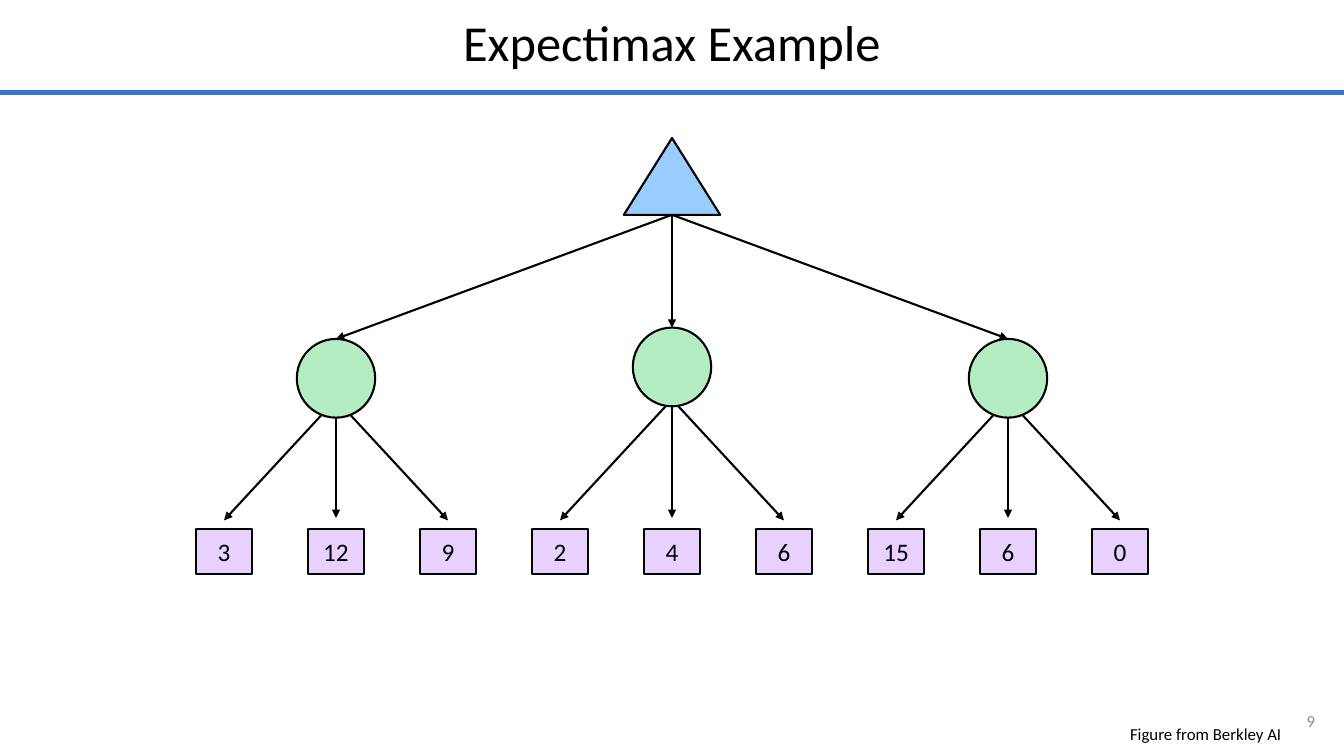
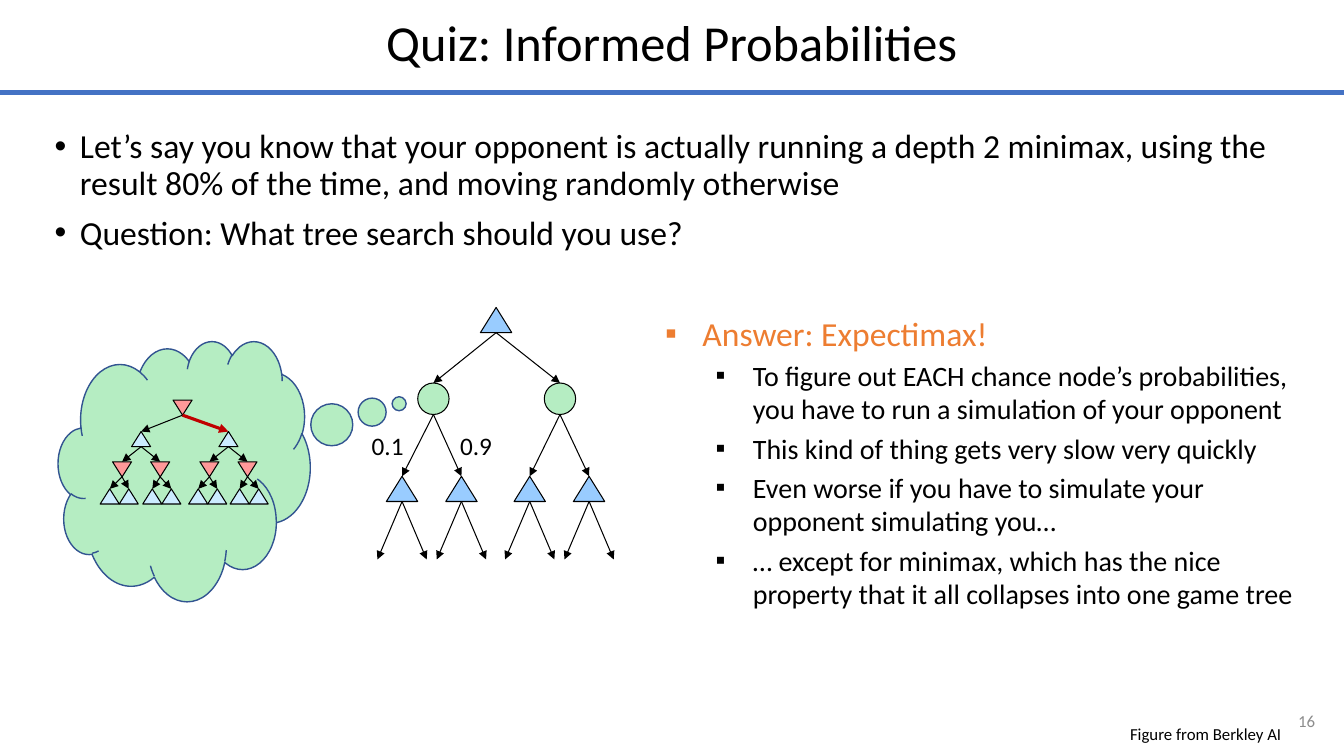
from lxml.etree import SubElement
from pptx import Presentation
from pptx.dml.color import RGBColor
from pptx.enum.shapes import MSO_CONNECTOR, MSO_SHAPE
from pptx.enum.text import MSO_ANCHOR, PP_ALIGN
from pptx.oxml.ns import qn
from pptx.util import Inches, Pt

WIDE, HIGH = 13.33, 7.5
COL, ROW = WIDE / 12, HIGH / 12
FONT = "Calibri"
BLACK, GREY, RULE, ORANGE = "000000", "8C8C8C", "4472C4", "ED7D31"
BLUE, PALE, GREEN, PINK, LILAC = "99CCFF", "CCECFF", "B5EDC2", "FF9999", "E8D1FF"
EDGE, HOT = "325491", "C00000"
TRI, DISC = MSO_SHAPE.ISOSCELES_TRIANGLE, MSO_SHAPE.OVAL


def across(cols):
    return Inches(cols * COL)


def down(rows):
    return Inches(rows * ROW)


def frame(left, top, width, height):
    return across(left), down(top), across(width), down(height)


def paint(target, ink):
    target.rgb = RGBColor.from_string(ink)


def style(para, size, ink=BLACK, align=PP_ALIGN.LEFT):
    para.alignment = align
    para.font.size = Pt(size)
    para.font.name = FONT
    paint(para.font.color, ink)


def text(slide, place, words, size, ink=BLACK, align=PP_ALIGN.LEFT,
         anchor=MSO_ANCHOR.TOP, pitch=1.0):
    body = slide.shapes.add_textbox(*frame(*place)).text_frame
    body.word_wrap = True
    body.vertical_anchor = anchor
    para = body.paragraphs[0]
    para.text = words
    para.line_spacing = pitch
    style(para, size, ink, align)


def bullet(para, mark, ink, indent, hang):
    props = para._p.get_or_add_pPr()
    props.set("marL", str(Inches(indent)))
    props.set("indent", str(-Inches(hang)))
    tint = SubElement(props, qn("a:buClr"))
    SubElement(tint, qn("a:srgbClr")).set("val", ink)
    SubElement(props, qn("a:buFont")).set("typeface", "Arial")
    SubElement(props, qn("a:buChar")).set("char", mark)


def points(slide, place, items, mark, hang, pitch=1.0):
    body = slide.shapes.add_textbox(*frame(*place)).text_frame
    body.word_wrap = True
    for i, (words, level, size, ink, gap) in enumerate(items):
        para = body.add_paragraph() if i else body.paragraphs[0]
        para.text = words
        para.level = level
        para.line_spacing = pitch
        para.space_before = Pt(gap if i else 0)
        bullet(para, mark, ink, hang + level * 0.5, hang)
        style(para, size, ink)


def line(slide, start, end, weight, ink=BLACK, arrow=True):
    link = slide.shapes.add_connector(
        MSO_CONNECTOR.STRAIGHT, across(start[0]), down(start[1]),
        across(end[0]), down(end[1]))
    link.line.width = Pt(weight)
    paint(link.line.color, ink)
    if arrow:
        tail = SubElement(link.line._get_or_add_ln(), qn("a:tailEnd"))
        tail.set("type", "triangle")
    SubElement(link._element.spPr, qn("a:effectLst"))


def shape(slide, kind, place, fill, weight, ink=BLACK):
    item = slide.shapes.add_shape(kind, *frame(*place))
    item.shadow.inherit = False
    item.fill.solid()
    paint(item.fill.fore_color, fill)
    item.line.width = Pt(weight)
    paint(item.line.color, ink)
    return item


def node(slide, kind, mid, top, width, height, fill, weight):
    return shape(slide, kind, (mid - width / 2, top, width, height), fill, weight)


def leaf(slide, mid, value):
    box = node(slide, MSO_SHAPE.RECTANGLE, mid, 8.4, 0.5, 0.71, LILAC, 1.5)
    body = box.text_frame
    body.word_wrap = False
    body.vertical_anchor = MSO_ANCHOR.MIDDLE
    body.paragraphs[0].text = value
    style(body.paragraphs[0], 18, align=PP_ALIGN.CENTER)


def tree(slide, levels, hot=()):
    above, base = [], 0
    for depth, (mids, top, kind, fill, width, height, turn) in enumerate(levels):
        for i, mid in enumerate(mids):
            if above:
                start = above[i * len(above) // len(mids)], base
                bold = (depth, i) in hot
                line(slide, start, (mid, top), 2.25 if bold else 0.75,
                     HOT if bold else BLACK)
        if kind:
            for mid in mids:
                node(slide, kind, mid, top, width, height, fill, 0.75).rotation = turn
        above, base = mids, top + height


def spread(mids, gap):
    return [mid + side * gap for mid in mids for side in (-1, 1)]


def page(deck, title, number):
    slide = deck.slides.add_slide(deck.slide_layouts[6])
    text(slide, (0, -0.03, 12, 1.5), title, 36, BLACK, PP_ALIGN.CENTER,
         MSO_ANCHOR.MIDDLE, 0.9)
    line(slide, (0, 1.47), (12, 1.47), 3.75, RULE, False)
    text(slide, (11.22, 11.12, 0.61, 0.64), number, 12, GREY, PP_ALIGN.RIGHT,
         MSO_ANCHOR.MIDDLE)
    text(slide, (9.75, 11.44, 1.78, 0.43), "Figure from Berkley AI", 12,
         align=PP_ALIGN.RIGHT, pitch=0.9)
    return slide


def sample(deck):
    slide = page(deck, "Expectimax Example", "9")
    node(slide, TRI, 6, 2.19, 0.86, 1.22, BLUE, 1.5)
    groups = [(3, 5.38, ("3", "12", "9")),
              (6, 5.2, ("2", "4", "6")),
              (9, 5.38, ("15", "6", "0"))]
    for mid, top, values in groups:
        line(slide, (6, 3.41), (mid, top), 1.5)
        for step, value in enumerate(values, -1):
            line(slide, (mid, 6.34), (mid + step, 8.26 if step else 8.22), 1.5)
            leaf(slide, mid + step, value)
        node(slide, DISC, mid, top, 0.7, 1.25, GREEN, 1.5)


def quiz(deck):
    slide = page(deck, "Quiz: Informed Probabilities", "16")
    points(slide, (0.4, 1.98, 11.2, 2.5), [
        ("Let’s say you know that your opponent is actually running a depth 2 "
         "minimax, using the result 80% of the time, and moving randomly otherwise",
         0, 24, BLACK, 0),
        ("Question: What tree search should you use?", 0, 24, BLACK, 10),
    ], "•", 0.25, 0.9)

    cloud = shape(slide, MSO_SHAPE.CLOUD_CALLOUT, (0.52, 5.41, 2.25, 4.13),
                  GREEN, 1, EDGE)
    cloud.adjustments[0] = 0.853
    cloud.adjustments[1] = -0.258
    small = 0.17, 0.24
    kids = [1.26, 2.04]
    ends = [mid + step for mid in (0.98, 1.36, 1.77, 2.14) for step in (0, 0.17)]
    tree(slide, [
        ([1.63], 6.35, TRI, PINK, *small, 180),
        (kids, 6.85, TRI, PALE, *small, 0),
        (spread(kids, 0.17), 7.33, TRI, PINK, *small, 180),
        (ends, 7.76, TRI, PALE, *small, 0),
    ], {(1, 1)})

    for left, odds in ((3.23, "0.1"), (4.02, "0.9")):
        text(slide, (left, 6.75, 0.55, 0.64), odds, 18)

    moves = [3.59, 4.12, 4.73, 5.26]
    tree(slide, [
        ([4.43], 4.88, TRI, BLUE, 0.28, 0.4, 0),
        ([3.87, 5], 6.08, DISC, GREEN, 0.28, 0.5, 0),
        (moves, 7.56, TRI, BLUE, 0.28, 0.4, 0),
        (spread(moves, 0.22), 8.88, None, None, 0, 0, 0),
    ])

    notes = [
        "To figure out EACH chance node’s probabilities, you have to run a "
        "simulation of your opponent",
        "This kind of thing gets very slow very quickly",
        "Even worse if you have to simulate your opponent simulating you…",
        "… except for minimax, which has the nice property that it all collapses "
        "into one game tree",
    ]
    points(slide, (5.85, 4.88, 5.82, 5.65),
           [("Answer: Expectimax!", 0, 24, ORANGE, 0)]
           + [(note, 1, 20, BLACK, 4) for note in notes], "▪", 0.37)


def main():
    deck = Presentation()
    deck.slide_width, deck.slide_height = Inches(WIDE), Inches(HIGH)
    sample(deck)
    quiz(deck)
    deck.save("out.pptx")


if __name__ == "__main__":
    main()
